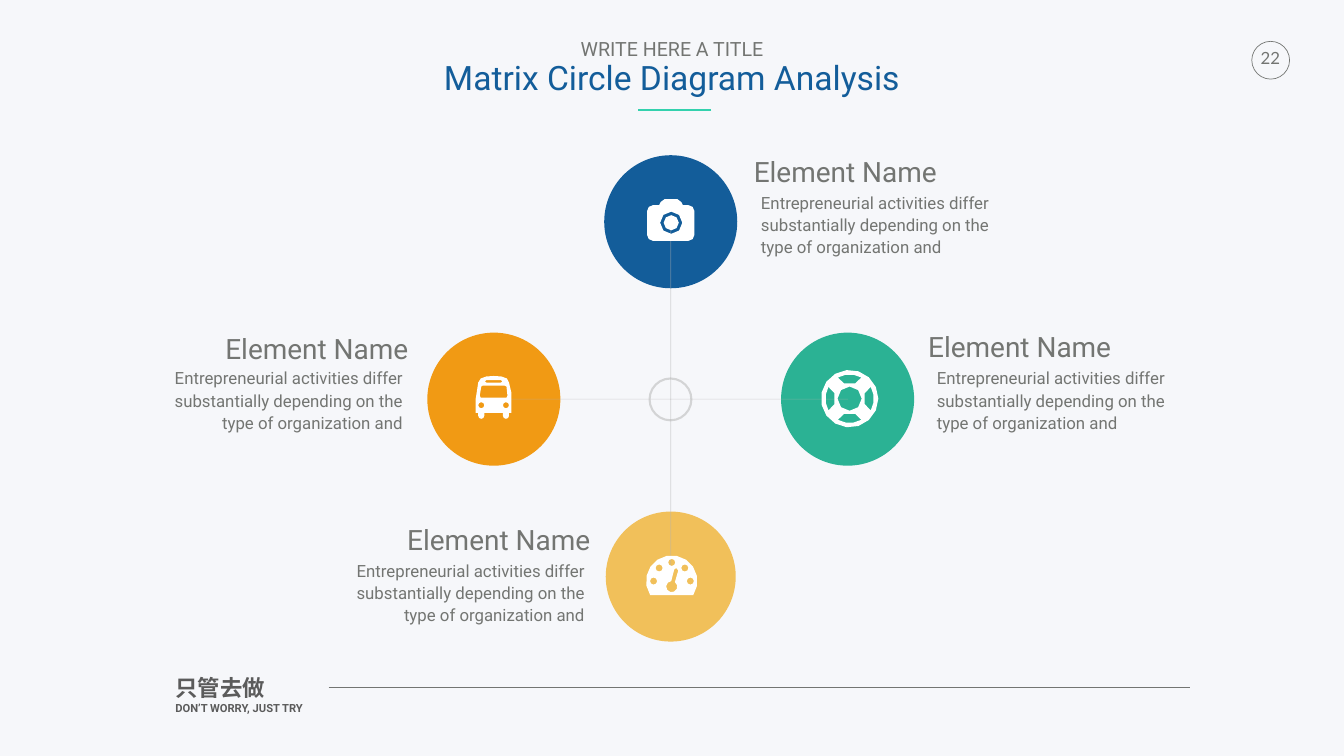
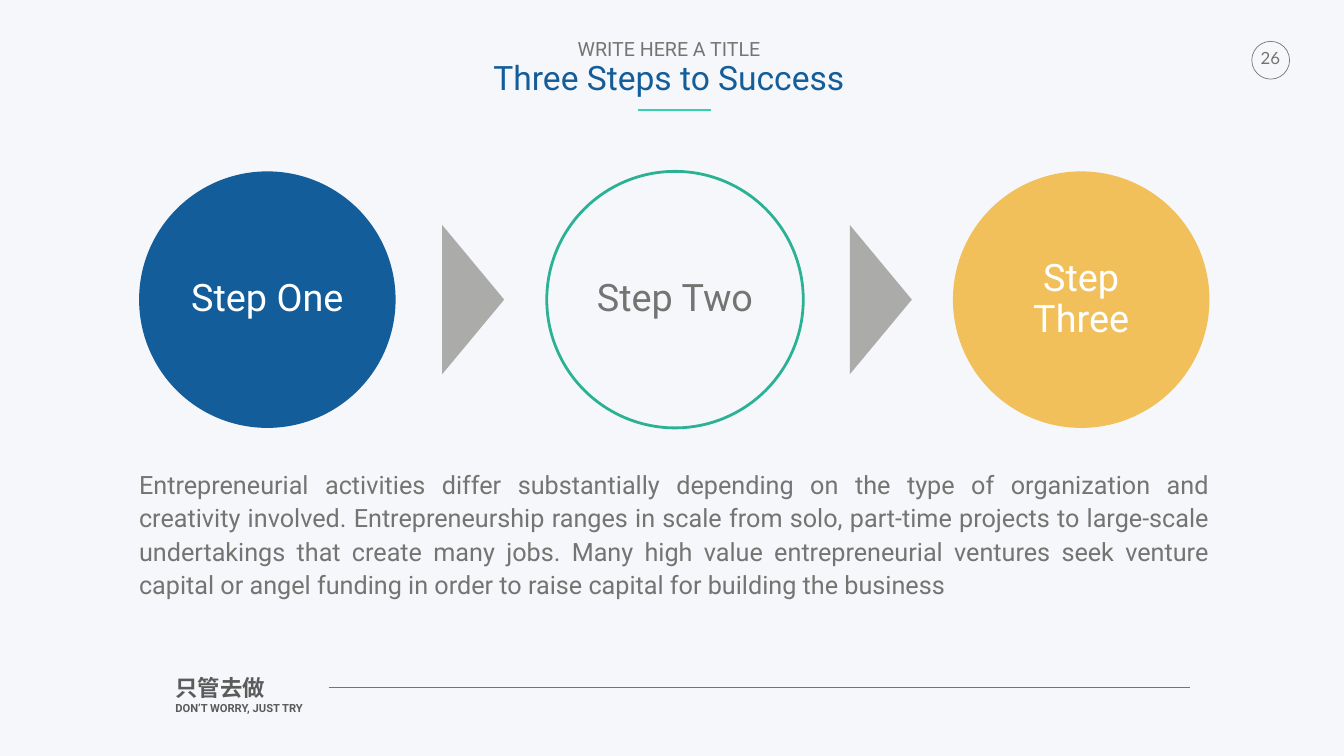
"""Build two business slides: a matrix circle diagram and three steps to success."""
from math import ceil, cos, radians, sin

from lxml.etree import SubElement
from pptx import Presentation
from pptx.dml.color import RGBColor
from pptx.enum.shapes import MSO_CONNECTOR, MSO_SHAPE
from pptx.enum.text import MSO_ANCHOR, MSO_AUTO_SIZE, PP_ALIGN
from pptx.oxml.ns import qn
from pptx.util import Inches, Pt

PAPER, WHITE, GRAY, DARK, SILVER = "F6F7FA", "FFFFFF", "737572", "5B5B5B", "B2B2B2"
BLUE, GREEN, ORANGE, YELLOW = "135D9A", "2BB294", "F19A14", "F1C05A"
MINT, ARROW_GRAY = "33D1AD", "ABACAA"
LEFT, CENTER, RIGHT = PP_ALIGN.LEFT, PP_ALIGN.CENTER, PP_ALIGN.RIGHT
TOP, MIDDLE = MSO_ANCHOR.TOP, MSO_ANCHOR.MIDDLE


def paint(shape, fill=None, line=None, width=1, alpha=None):
    """Set fill and line from hex strings and drop the shadow."""
    if fill:
        shape.fill.solid()
        shape.fill.fore_color.rgb = RGBColor.from_string(fill)
    elif hasattr(shape, "fill"):
        shape.fill.background()
    if line:
        shape.line.color.rgb = RGBColor.from_string(line)
        shape.line.width = Pt(width)
    else:
        shape.line.fill.background()
    if alpha:
        color = shape.line._ln.find(".//" + qn("a:srgbClr"))
        SubElement(color, qn("a:alpha")).set("val", str(alpha * 1000))
    SubElement(shape._element.spPr, qn("a:effectLst"))


def write(shape, lines, margin=0, align=LEFT, anchor=TOP, spacing=1.0, before=0,
          wrap=True, font="Roboto", bold=False):
    """Fill a shape with lines of (text, size, colour)."""
    frame = shape.text_frame
    frame.text = "\n".join(text for text, _, _ in lines)
    frame.auto_size = MSO_AUTO_SIZE.NONE
    frame.word_wrap = wrap
    frame.vertical_anchor = anchor
    frame.margin_left = frame.margin_right = Inches(margin)
    frame.margin_top = frame.margin_bottom = Inches(margin)
    for paragraph, (_, size, color) in zip(frame.paragraphs, lines):
        paragraph.alignment = align
        paragraph.line_spacing = spacing
        paragraph.space_before = Pt(before)
        paragraph.font.name = font
        paragraph.font.size = Pt(size)
        paragraph.font.bold = bold
        paragraph.font.color.rgb = RGBColor.from_string(color)


deck = Presentation()
deck.slide_width, deck.slide_height = Inches(26.67), Inches(15)
background = deck.slide_master.background.fill
background.solid()
background.fore_color.rgb = RGBColor.from_string(PAPER)

slides = []
for heading, number, left, width in [
    ("Matrix Circle Diagram Analysis", "22", 8.76, 9.15),
    ("Three Steps to Success", "26", 9.68, 7.19),
]:
    slide = deck.slides.add_slide(deck.slide_layouts[5])
    slides.append(slide)
    title = slide.shapes.title
    title.left, title.top = Inches(left), Inches(0.74)
    title.width, title.height = Inches(width), Inches(1.33)
    write(title, [("WRITE HERE A TITLE", 28, GRAY), (heading, 48, BLUE)],
          margin=0.05, align=CENTER, spacing=0.9, wrap=False)

    badge = slide.shapes.add_shape(
        MSO_SHAPE.OVAL, Inches(24.84), Inches(0.82), Inches(0.75), Inches(0.75))
    paint(badge, line=GRAY)
    page = slide.shapes.add_textbox(
        Inches(24.92), Inches(0.85), Inches(0.58), Inches(0.6))
    write(page, [(number, 24, GRAY)], margin=0.1, align=CENTER, wrap=False, font="Lato")

    motto = slide.shapes.add_textbox(
        Inches(3.43), Inches(13.33), Inches(3.99), Inches(0.99))
    write(motto, [("只管去做", 32, DARK), ("DON’T WORRY, JUST TRY", 16, DARK)],
          margin=0.05, bold=True)

    for start, end, y, color, weight in [
        (6.52, 23.62, 13.64, GRAY, 0.25),
        (14.11, 12.67, 2.18, MINT, 3),
    ]:
        rule = slide.shapes.add_connector(
            MSO_CONNECTOR.STRAIGHT, Inches(start), Inches(y), Inches(end), Inches(y))
        paint(rule, line=color, width=weight)

matrix, steps = slides

for x, y, size, color in [
    (8.48, 6.6, 2.64, ORANGE),
    (12.02, 10.15, 2.58, YELLOW),
    (15.5, 6.6, 2.64, GREEN),
    (11.99, 3.08, 2.64, BLUE),
]:
    disc = matrix.shapes.add_shape(
        MSO_SHAPE.OVAL, Inches(x), Inches(y), Inches(size), Inches(size))
    paint(disc, fill=color)

hub = matrix.shapes.add_shape(
    MSO_SHAPE.OVAL, Inches(12.89), Inches(7.51), Inches(0.83), Inches(0.83))
paint(hub, line=SILVER, width=3, alpha=50)

hub_x, hub_y, reach = 13.31, 7.92, 3.52
for dx, dy in [(1, 0), (0, 1), (-1, 0), (0, -1)]:
    spoke = matrix.shapes.add_connector(
        MSO_CONNECTOR.STRAIGHT, Inches(hub_x), Inches(hub_y),
        Inches(hub_x + dx * reach), Inches(hub_y + dy * reach))
    paint(spoke, line=SILVER, alpha=50)

camera = [
    [(13.66, 4.19, 0.12, 270, 360), (13.66, 4.66, 0.12, 0, 90),
     (12.96, 4.66, 0.12, 90, 180), (12.96, 4.19, 0.12, 180, 270),
     (13.08, 4.07), (13.11, 4.01), (13.19, 3.95),
     (13.44, 3.95), (13.52, 4.01), (13.55, 4.07)],
    [(13.32, 4.42, 0.22, 0, 360)],
    [(13.32, 4.42, 0.15, 0, 360)],
]
bus = [
    [(10.15, 8.19), (10.1, 8.19), (10.04, 8.25, 0.06, 0, 180), (9.98, 8.19), (9.61, 8.19),
     (9.55, 8.25, 0.06, 0, 180), (9.49, 8.19), (9.44, 8.19), (9.44, 7.91),
     (9.49, 7.59), (9.54, 7.51), (9.65, 7.47), (9.8, 7.46), (9.95, 7.47),
     (10.06, 7.51), (10.1, 7.59), (10.15, 7.8)],
    [(9.55, 7.67), (9.58, 7.65), (10.01, 7.65), (10.05, 7.67),
     (10.07, 7.85), (10.05, 7.89), (9.54, 7.89), (9.52, 7.85)],
    [(9.62, 7.57), (9.65, 7.54), (9.94, 7.54), (9.97, 7.57), (9.94, 7.59), (9.65, 7.59)],
    [(9.55, 8.04, 0.06, 0, 360)],
    [(10.04, 8.04, 0.06, 0, 360)],
]
lifebuoy = [[(16.86, 7.91, radius, 0, 360)] for radius in (0.57, 0.24)]
lifebuoy += [
    [(16.86, 7.91, 0.48, turn - 29, turn + 29), (16.86, 7.91, 0.32, turn + 20, turn - 20)]
    for turn in range(0, 360, 90)
]
gauge = [
    [(13.33, 11.53, 0.51, 147, 393)],
    [(13.33, 11.64, 0.11, -55, 265), (13.38, 11.3), (13.42, 11.27), (13.46, 11.32)],
]
gauge += [
    [(x, y, 0.07, 0, 360)]
    for x, y in [(12.97, 11.53), (13.08, 11.27), (13.33, 11.16), (13.59, 11.27), (13.7, 11.53)]
]

for icon in [camera, bus, lifebuoy, gauge]:
    pen = None
    for contour in icon:
        points = []
        for x, y, *arc in contour:
            if arc:
                radius, start, end = arc
                count = ceil(abs(end - start) / (24 if radius > 0.4 else 45))
                for i in range(count + 1):
                    angle = radians(start + (end - start) * i / count)
                    points.append((Inches(x + radius * cos(angle)),
                                   Inches(y + radius * sin(angle))))
            else:
                points.append((Inches(x), Inches(y)))
        if pen is None:
            pen = matrix.shapes.build_freeform(*points[0])
        else:
            pen.move_to(*points[0])
        pen.add_line_segments(points[1:], close=True)
    paint(pen.convert_to_shape(), fill=WHITE)

for align, text_x, text_y, name_x, name_y, name_width in [
    (LEFT, 15.1, 3.79, 14.86, 2.97, 7.1),
    (LEFT, 18.59, 7.28, 18.32, 6.44, 7.1),
    (RIGHT, 3.04, 7.28, 3.25, 6.47, 4.95),
    (RIGHT, 6.65, 11.1, 6.86, 10.26, 4.95),
]:
    detail = matrix.shapes.add_textbox(
        Inches(text_x), Inches(text_y), Inches(4.95), Inches(1.29))
    write(detail, [("Entrepreneurial activities differ substantially depending on the "
                    "type of organization and", 24, GRAY)],
          align=align, anchor=MIDDLE, spacing=1.1, before=30)
    name = matrix.shapes.add_textbox(
        Inches(name_x), Inches(name_y), Inches(name_width), Inches(0.87))
    write(name, [("Element Name", 40, GRAY)], margin=0.1, align=align)

for label, x, label_y, label_height, fill, line, color, arrow_x in [
    ("Step One", 2.76, 4.57, 2.74, BLUE, None, WHITE, 7.91),
    ("Step Two", 10.85, 4.57, 2.74, PAPER, GREEN, GRAY, 16),
    ("Step Three", 18.91, 4.17, 3.56, YELLOW, None, WHITE, None),
]:
    step = steps.shapes.add_shape(
        MSO_SHAPE.OVAL, Inches(x), Inches(3.4), Inches(5.09), Inches(5.09))
    paint(step, fill=fill, line=line, width=4)
    caption = steps.shapes.add_textbox(
        Inches(x), Inches(label_y), Inches(5.09), Inches(label_height))
    write(caption, [(label, 54, color)], margin=0.92, align=CENTER, anchor=MIDDLE,
          spacing=0.9, before=22)
    if arrow_x:
        arrow = steps.shapes.add_shape(
            MSO_SHAPE.ISOSCELES_TRIANGLE,
            Inches(arrow_x), Inches(5.33), Inches(2.96), Inches(1.23))
        arrow.rotation = 90
        paint(arrow, fill=ARROW_GRAY)

summary = steps.shapes.add_textbox(
    Inches(2.76), Inches(9.29), Inches(21.24), Inches(2.57))
write(summary, [(
    "Entrepreneurial activities differ substantially depending on the type of organization "
    "and creativity involved. Entrepreneurship ranges in scale from solo, part-time projects "
    "to large-scale undertakings that create many jobs. Many high value entrepreneurial "
    "ventures seek venture capital or angel funding in order to raise capital for building "
    "the business", 36, GRAY)],
    align=PP_ALIGN.JUSTIFY, anchor=MIDDLE, spacing=1.1, before=30)

deck.save("out.pptx")
